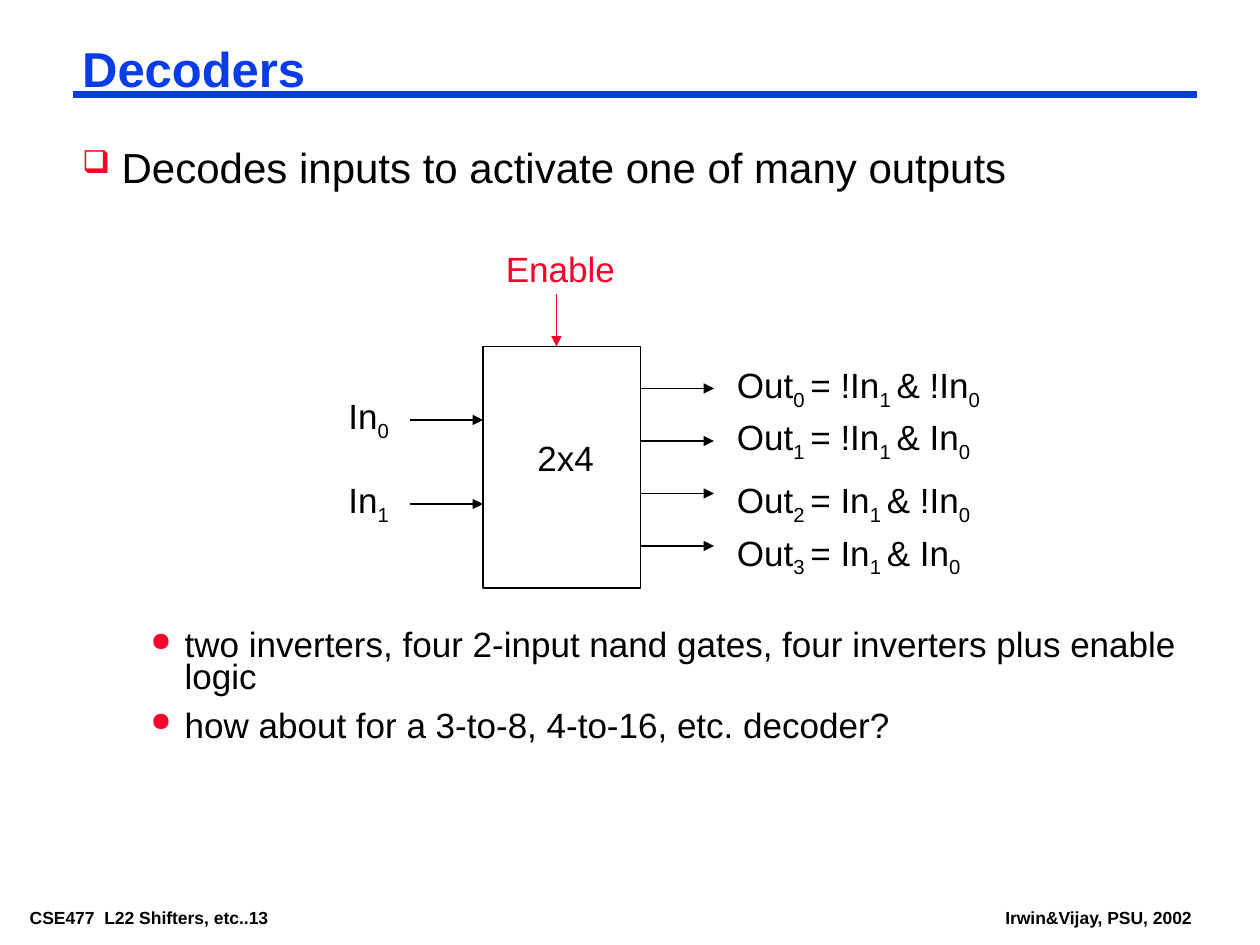
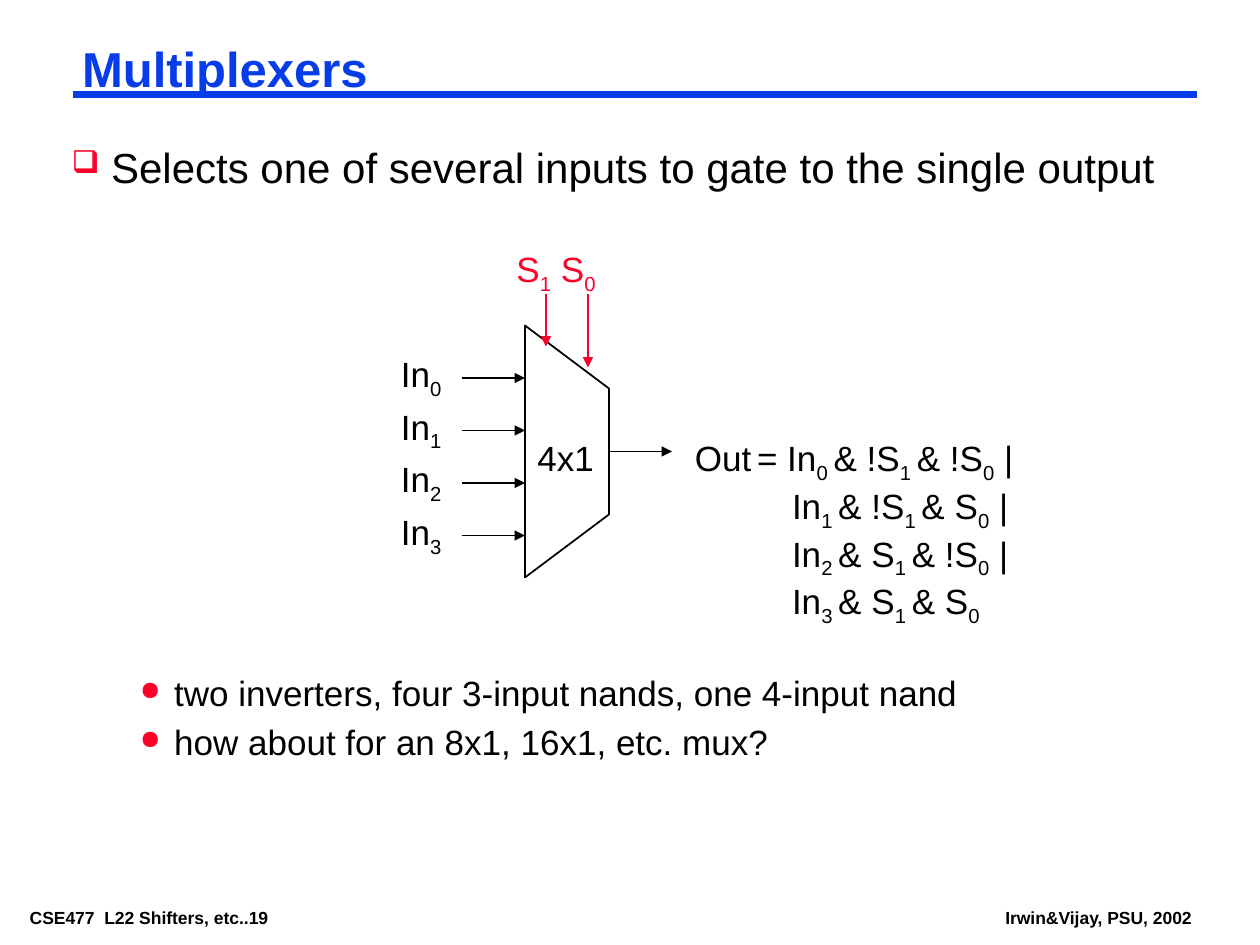
"""Build two lecture slides on decoders and multiplexers."""
from dataclasses import dataclass

import pptx
import pptx.dml.color
import pptx.enum.shapes
import pptx.oxml.ns
import pptx.util
from lxml import etree

Pt = pptx.util.Pt
qn = pptx.oxml.ns.qn
RGB = pptx.dml.color.RGBColor.from_string


@dataclass(frozen=True)
class Theme:
    font: str = "Arial"
    ink: str = "000000"
    blue: str = "063DE8"
    red: str = "FC0128"
    title: int = 28
    lead: int = 24
    label: int = 20
    footer: int = 10
    rule: float = 4.5
    line: float = 1


theme = Theme()


def add_text(s, text, x, y, w, h, size=theme.label, color=theme.ink, bold=False,
             inset=(7.2, 3.6), spacing=None, before=0, bullet=None,
             margin=0, hang=0, first_margin=None):
    """Add a text box; underscores in text switch subscript on and off."""
    tf = s.shapes.add_textbox(Pt(x), Pt(y), Pt(w), Pt(h)).text_frame
    tf.word_wrap = True
    tf.margin_left = tf.margin_right = Pt(inset[0])
    tf.margin_top = tf.margin_bottom = Pt(inset[1])
    for i, line in enumerate(text.split("\n")):
        p = tf.paragraphs[0] if i == 0 else tf.add_paragraph()
        left = first_margin if i == 0 and first_margin is not None else margin
        pPr = p._p.get_or_add_pPr()
        pPr.set("marL", str(Pt(left)))
        pPr.set("indent", str(Pt(-hang)))
        if bullet:
            color_el = etree.SubElement(pPr, qn("a:buClr"))
            etree.SubElement(color_el, qn("a:srgbClr"), val=theme.red)
            etree.SubElement(pPr, qn("a:buSzPct"), val="75000")
            etree.SubElement(pPr, qn("a:buChar"), char=bullet)
        if spacing:
            p.line_spacing = spacing
        if i and before:
            p.space_before = Pt(before)
        for j, part in enumerate(line.split("_")):
            if not part:
                continue
            r = p.add_run()
            r.text = part
            r.font.name, r.font.size, r.font.bold = theme.font, Pt(size), bold
            r.font.color.rgb = RGB(color)
            if j % 2:
                r._r.get_or_add_rPr().set("baseline", "-25000")


def add_line(s, x1, y1, x2, y2, color=theme.ink, width=theme.line, arrow=True):
    """Add a straight line, with an arrowhead at its end by default."""
    line = s.shapes.add_connector(pptx.enum.shapes.MSO_CONNECTOR.STRAIGHT,
                                  Pt(x1), Pt(y1), Pt(x2), Pt(y2))
    line.line.color.rgb = RGB(color)
    line.line.width = Pt(width)
    if arrow:
        etree.SubElement(line.line._get_or_add_ln(), qn("a:tailEnd"), type="triangle")
    etree.SubElement(line._element.spPr, qn("a:effectLst"))


prs = pptx.Presentation()
prs.slide_width, prs.slide_height = Pt(720), Pt(540)

pages = [
    ("Decoders", 13, 42, "Decodes inputs to activate one of many outputs", 359,
     "two inverters, four 2-input nand gates, four inverters plus enable logic\n"
     "how about for a 3-to-8, 4-to-16, etc. decoder?", "2x4"),
    ("Multiplexers", 19, 36, "Selects one of several inputs to gate to the single output", 387,
     "two inverters, four 3-input nands, one 4-input nand\n"
     "how about for an 8x1, 16x1, etc. mux?", "4x1"),
]
tight = (5, 2.4)
for title, number, left, lead, details_top, details, block_name in pages:
    s = prs.slides.add_slide(prs.slide_layouts[6])
    add_text(s, f"CSE477  L22 Shifters, etc..{number}", 12, 516, 184, 16,
             size=theme.footer, bold=True, inset=tight)
    add_text(s, "Irwin&Vijay, PSU, 2002", 569.5, 516, 130, 16,
             size=theme.footer, bold=True, inset=tight)
    add_line(s, 42, 54, 684, 54, color=theme.blue, width=theme.rule, arrow=False)
    add_text(s, title, 42, 24, 642, 33, size=theme.title, color=theme.blue,
             bold=True, inset=tight, spacing=0.87)
    add_text(s, lead, left, 84, 636, 30, size=theme.lead, inset=tight,
             spacing=0.8, bullet="❑", margin=22.5, hang=22.5)
    add_text(s, details, left, details_top, 636, 72, inset=tight,
             spacing=0.75, before=10, bullet="●", margin=58.5, hang=19.5)
    add_text(s, block_name, 300, 246, 54, 32)

decoder_slide, mux_slide = prs.slides

s = decoder_slide
decoder = s.shapes.add_shape(pptx.enum.shapes.MSO_SHAPE.RECTANGLE,
                             Pt(276), Pt(198), Pt(90), Pt(138))
for i, y in enumerate((240, 288)):
    add_line(s, 234, y, 276, y)
    add_text(s, f"In_{i}", 192, y - 18, 48, 35)
outputs = [
    (204, "Out_0 _= !In_1 _& !In_0"),
    (234, "Out_1 _= !In_1 _& In_0"),
    (270, "Out_2 _= In_1 _& !In_0"),
    (300, "Out_3 _= In_1 _& In_0"),
]
for i, (top, equation) in enumerate(outputs):
    y = 222 + 30 * i
    add_line(s, 366, y, 408, y)
    add_text(s, equation, 414, top, 174, 35)
add_text(s, "Enable", 282, 138, 84, 32, color=theme.red)
add_line(s, 318, 168, 318, 198, color=theme.red)

s = mux_slide
outline = s.shapes.build_freeform(Pt(300), Pt(330))
outline.add_line_segments([(Pt(x), Pt(y)) for x, y in ((300, 186), (348, 222), (348, 294))])
mux = outline.convert_to_shape()
for i in range(4):
    y = 216 + 30 * i
    add_line(s, 264, y, 300, y)
    add_text(s, f"In_{i}", 222, y - 18, 48, 35)
add_text(s, "S_1_ S_0", 288, 138, 84, 35, color=theme.red)
for x, tip in ((312, 198), (336, 210)):
    add_line(s, x, 168, x, tip, color=theme.red)
add_line(s, 348, 258, 384, 258)
add_text(s, "Out_ _= In_0 _& !S_1 _& !S_0_ |\n"
            "In_1 _& !S_1 _& S_0_ |\n"
            "In_2 _& S_1 _& !S_0_ |\n"
            "In_3 _& S_1 _& S_0",
         390, 246, 228, 117, margin=55.5, first_margin=0)

for block in (decoder, mux):
    block.shadow.inherit = False
    block.fill.background()
    block.line.color.rgb = RGB(theme.ink)
    block.line.width = Pt(theme.line)

prs.save("out.pptx")
